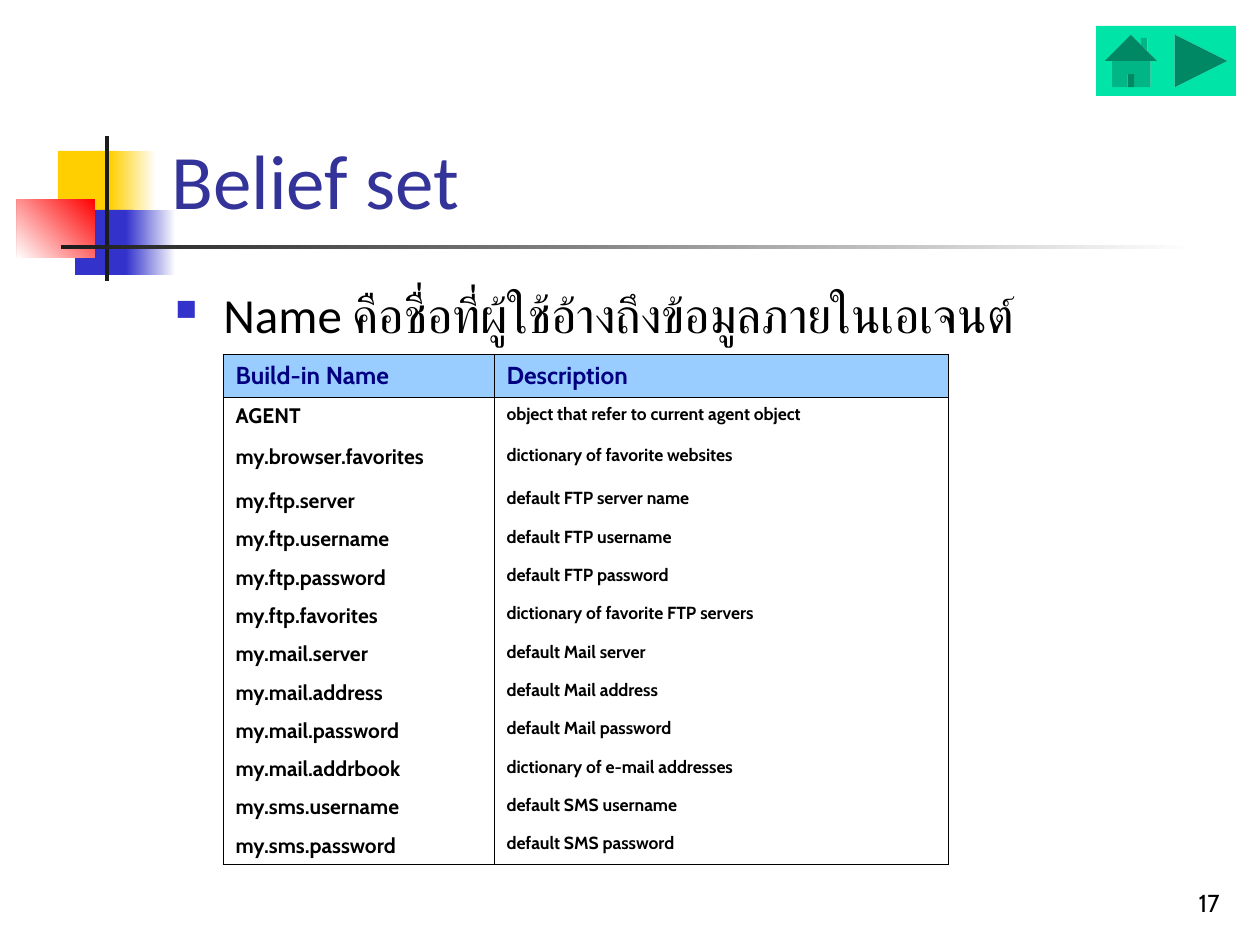
from lxml import etree
from pptx import Presentation
from pptx import util as u
from pptx.dml.color import RGBColor
from pptx.enum import shapes, text
from pptx.oxml import ns

PX_PER_INCH = 126
RECTANGLE = shapes.MSO_SHAPE.RECTANGLE


def px(value):
    return u.Emu(round(value * 914400 / PX_PER_INCH))


def color(hex_string):
    return RGBColor.from_string(hex_string)


def write(paragraph, content, size=12, font="Cabin", ink="000000", bold=False):
    run = paragraph.add_run()
    run.text = content
    run.font.size = u.Pt(size)
    run.font.name = font
    run.font.bold = bold
    run.font.color.rgb = color(ink)


def add_element(parent, tag, **attributes):
    return etree.SubElement(parent, ns.qn(tag), attributes)


class SlideBuilder:
    heading_ink = "333399"
    accent = "3333CC"
    button_fill = "00E4A8"
    header_fill = "99CCFF"
    header_ink = "000080"
    border = "000000"
    border_width = u.Pt(0.45)

    def __init__(self, slide):
        self.slide = slide

    def shape(self, kind, box, fill):
        shape = self.slide.shapes.add_shape(kind, *map(px, box))
        shape.shadow.inherit = False
        shape.line.fill.background()
        shape.fill.solid()
        shape.fill.fore_color.rgb = color(fill)
        return shape

    def gradient(self, box, start, end, angle=0):
        fill = self.shape(RECTANGLE, box, start).fill
        fill.gradient()
        fill.gradient_angle = angle
        for stop, stop_color in zip(fill.gradient_stops, (start, end)):
            stop.color.rgb = color(stop_color)

    def text_box(self, box, anchor=text.MSO_ANCHOR.TOP, align=text.PP_ALIGN.LEFT):
        frame = self.slide.shapes.add_textbox(*map(px, box)).text_frame
        frame.word_wrap = True
        frame.vertical_anchor = anchor
        paragraph = frame.paragraphs[0]
        paragraph.alignment = align
        return paragraph

    def bullet(self, paragraph, indent):
        properties = paragraph._p.get_or_add_pPr()
        properties.set("marL", str(px(indent)))
        properties.set("indent", str(-px(indent)))
        bullet_color = add_element(properties, "a:buClr")
        add_element(bullet_color, "a:srgbClr", val=self.accent)
        add_element(properties, "a:buSzPct", val="60000")
        add_element(properties, "a:buChar", char="■")

    def cell_borders(self, cell, visible):
        properties = cell._tc.get_or_add_tcPr()
        for index, side in enumerate("LRTB"):
            line = etree.Element(ns.qn(f"a:ln{side}"), w=str(self.border_width))
            if side in visible:
                fill = add_element(line, "a:solidFill")
                add_element(fill, "a:srgbClr", val=self.border)
            else:
                add_element(line, "a:noFill")
            properties.insert(index, line)

    def table(self, left, top, widths, heights, rows):
        frame = self.slide.shapes.add_table(
            len(rows), len(widths), px(left), px(top), px(sum(widths)), px(sum(heights))
        )
        table = frame.table
        table.first_row = False
        table.horz_banding = False
        for column, width in zip(table.columns, widths):
            column.width = px(width)
        for row, height in zip(table.rows, heights):
            row.height = px(height)
        last = len(rows) - 1
        for row_index, row in enumerate(rows):
            is_header = row_index == 0
            for column_index, content in enumerate(row):
                cell = table.cell(row_index, column_index)
                paragraph = cell.text_frame.paragraphs[0]
                if is_header:
                    cell.fill.solid()
                    cell.fill.fore_color.rgb = color(self.header_fill)
                    write(paragraph, content, size=14, ink=self.header_ink, bold=True)
                else:
                    cell.fill.background()
                    write(paragraph, content, size=(12, 10)[column_index], bold=True)
                visible = "LR"
                if row_index <= 1:
                    visible += "T"
                if row_index in (0, last):
                    visible += "B"
                self.cell_borders(cell, visible)


BELIEFS = [
    ("Build-in Name", "Description"),
    ("AGENT", "object that refer to current agent object"),
    ("my.browser.favorites", "dictionary of favorite websites"),
    ("my.ftp.server", "default FTP server name"),
    ("my.ftp.username", "default FTP username"),
    ("my.ftp.password", "default FTP password"),
    ("my.ftp.favorites", "dictionary of favorite FTP servers"),
    ("my.mail.server", "default Mail server"),
    ("my.mail.address", "default Mail address"),
    ("my.mail.password", "default Mail password"),
    ("my.mail.addrbook", "dictionary of e-mail addresses"),
    ("my.sms.username", "default SMS username"),
    ("my.sms.password", "default SMS password"),
]


def main():
    presentation = Presentation()
    presentation.slide_width = px(1260)
    presentation.slide_height = px(945)
    builder = SlideBuilder(presentation.slides.add_slide(presentation.slide_layouts[6]))

    builder.shape(RECTANGLE, (58, 151, 60, 66), "FFCF01")
    builder.gradient((110, 151, 46, 66), "FFCF01", "FFFFFF")
    builder.shape(RECTANGLE, (75, 210, 58, 65), builder.accent)
    builder.gradient((126, 210, 50, 65), builder.accent, "FFFFFF")
    builder.gradient((17, 199, 78, 59), "FF0000", "FFFFFF", angle=225)
    builder.shape(RECTANGLE, (105, 136, 4, 145), "1C1C1C")
    builder.gradient((61, 245, 1134, 4), "1C1C1C", "FFFFFF")

    title = builder.text_box((159, 29, 1074, 202), anchor=text.MSO_ANCHOR.BOTTOM)
    write(title, "Belief set", size=44, font="Calibri", ink=builder.heading_ink)

    definition = builder.text_box((163, 278, 993, 125))
    builder.bullet(definition, 48)
    write(definition, "Name คือชื่อที่ผู้ใช้อ้างถึง", size=28, font="Calibri")
    write(definition, "ข้อมูลภายในเอเจนต์", size=28)

    buttons = (
        shapes.MSO_SHAPE.ACTION_BUTTON_HOME,
        shapes.MSO_SHAPE.ACTION_BUTTON_FORWARD_OR_NEXT,
    )
    for index, kind in enumerate(buttons):
        builder.shape(kind, (1096 + 70 * index, 26, 70, 70), builder.button_fill)

    heights = [43, 41, 44] + [383 / 10] * 10
    builder.table(223, 354, (271, 454), heights, BELIEFS)

    page_number = builder.text_box(
        (970, 861, 262, 63), anchor=text.MSO_ANCHOR.BOTTOM, align=text.PP_ALIGN.RIGHT
    )
    write(page_number, "17", size=14)

    presentation.save("out.pptx")


if __name__ == "__main__":
    main()
